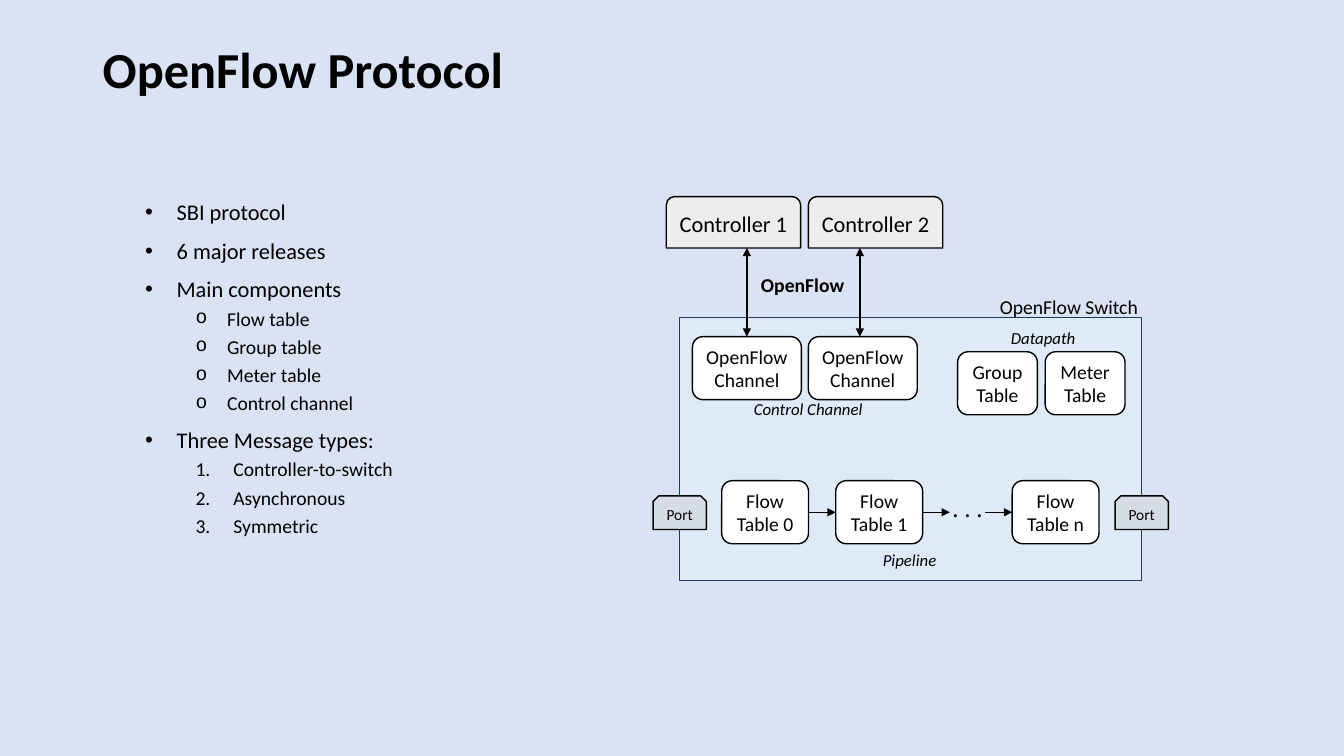
from dataclasses import dataclass

from lxml.etree import SubElement
from pptx import Presentation
from pptx.dml.color import RGBColor
from pptx.enum.shapes import MSO_CONNECTOR, MSO_SHAPE
from pptx.enum.text import MSO_ANCHOR, MSO_AUTO_SIZE, PP_ALIGN
from pptx.oxml.ns import qn
from pptx.util import Pt


@dataclass(frozen=True)
class Theme:
    font: str = "Calibri"
    background: str = "DAE3F3"
    ink: str = "000000"
    switch_fill: str = "DEEBF7"
    switch_line: str = "203864"
    table_fill: str = "FFFFFF"
    port_fill: str = "D6DCE5"
    controller_fill: str = "EDEDED"
    title: int = 36
    dots: int = 18
    large: int = 16
    medium: int = 14
    caption: int = 12
    port: int = 11


@dataclass(frozen=True)
class Box:
    left: float
    top: float
    width: float
    height: float

    @property
    def right(self):
        return self.left + self.width

    @property
    def bottom(self):
        return self.top + self.height

    @property
    def middle(self):
        return self.top + self.height / 2

    def inner(self, left, top, width, height):
        return Box(self.left + left, self.top + top, width, height)

    def points(self):
        return Pt(self.left), Pt(self.top), Pt(self.width), Pt(self.height)


THEME = Theme()
OUTLINE = [
    ("SBI protocol", "•"),
    ("6 major releases", "•"),
    ("Main components", "•"),
    ("Flow table", "o"),
    ("Group table", "o"),
    ("Meter table", "o"),
    ("Control channel", "o"),
    ("Three Message types:", "•"),
    ("Controller-to-switch", "1."),
    ("Asynchronous", "1."),
    ("Symmetric", "1."),
]
BULLETS = {
    "•": (0, THEME.large, 10, 22.5, 22.5, "Arial"),
    "o": (1, THEME.medium, 5, 58.5, 22.5, "Courier New"),
    "1.": (1, THEME.medium, 5, 63, 27, None),
}


def style(paragraph, size, bold=False, italic=False):
    font = paragraph.font
    font.name, font.size = THEME.font, Pt(size)
    font.bold, font.italic = bold, italic
    font.color.rgb = RGBColor.from_string(THEME.ink)


def place(holder, box):
    holder.left, holder.top, holder.width, holder.height = box.points()
    holder.text_frame.auto_size = MSO_AUTO_SIZE.NONE


def add_node(slide, preset, box, fill, words="", size=THEME.medium, outline=THEME.ink):
    node = slide.shapes.add_shape(preset, *box.points())
    node.shadow.inherit = False
    node.fill.solid()
    node.fill.fore_color.rgb = RGBColor.from_string(fill)
    node.line.color.rgb = RGBColor.from_string(outline)
    node.line.width = Pt(1)
    if words:
        frame = node.text_frame
        frame.text = words
        frame.vertical_anchor = MSO_ANCHOR.MIDDLE
        for paragraph in frame.paragraphs:
            paragraph.alignment = PP_ALIGN.CENTER
            style(paragraph, size)


def add_label(slide, box, words, size, bold=False, italic=False):
    frame = slide.shapes.add_textbox(*box.points()).text_frame
    frame.text = words
    frame.word_wrap = False
    frame.auto_size = MSO_AUTO_SIZE.SHAPE_TO_FIT_TEXT
    style(frame.paragraphs[0], size, bold, italic)


def add_arrow(slide, start, end, width=1, ends=("tailEnd",)):
    arrow = slide.shapes.add_connector(
        MSO_CONNECTOR.STRAIGHT, *(Pt(value) for value in (*start, *end)))
    arrow.line.color.rgb = RGBColor.from_string(THEME.ink)
    arrow.line.width = Pt(width)
    for end_name in ends:
        SubElement(arrow.line._get_or_add_ln(), qn(f"a:{end_name}"), type="triangle")
    SubElement(arrow._element.spPr, qn("a:effectLst"))


def add_title(slide, box):
    title = slide.shapes.title
    place(title, box)
    title.text_frame.text = "OpenFlow Protocol"
    title.text_frame.vertical_anchor = MSO_ANCHOR.BOTTOM
    heading = title.text_frame.paragraphs[0]
    heading.alignment = PP_ALIGN.LEFT
    heading.line_spacing = 0.9
    style(heading, THEME.title, bold=True)


def add_outline(slide, box):
    body = slide.placeholders[1]
    place(body, box)
    body.text_frame.text = "\n".join(words for words, _ in OUTLINE)
    for paragraph, (_, mark) in zip(body.text_frame.paragraphs, OUTLINE):
        level, size, before, margin, hanging, mark_font = BULLETS[mark]
        paragraph.level = level
        paragraph.line_spacing = 0.9
        paragraph.space_before = Pt(before)
        properties = paragraph._p.get_or_add_pPr()
        properties.set("marL", str(Pt(margin)))
        properties.set("indent", str(-Pt(hanging)))
        if mark_font:
            SubElement(properties, qn("a:buFont"), typeface=mark_font)
            SubElement(properties, qn("a:buChar"), char=mark)
        else:
            SubElement(properties, qn("a:buFont"), typeface="+mj-lt")
            SubElement(properties, qn("a:buAutoNum"), type="arabicPeriod")
        style(paragraph, size)


def add_controllers(slide, box):
    for index in range(2):
        add_node(slide, MSO_SHAPE.ROUND_2_SAME_RECTANGLE,
                 box.inner(101.5 * index, 0, 96, box.height),
                 THEME.controller_fill, f"Controller {index + 1}", THEME.large)


def add_links(slide, box):
    for x in (box.left, box.right):
        add_arrow(slide, (x, box.top), (x, box.bottom), 1.5, ("headEnd", "tailEnd"))
    add_label(slide, box.inner(3, 14.4, 74.2, 24.5), "OpenFlow", THEME.medium, bold=True)


def add_channels(slide, box):
    for index in range(2):
        add_node(slide, MSO_SHAPE.ROUNDED_RECTANGLE, box.inner(82.8 * index, 0, 77.8, 45),
                 THEME.table_fill, "OpenFlow\nChannel")
    add_label(slide, box.inner(36.8, 41, 93.6, 21.6), "Control Channel",
              THEME.caption, italic=True)


def add_datapath(slide, box):
    for index, kind in enumerate(("Group", "Meter")):
        add_node(slide, MSO_SHAPE.ROUNDED_RECTANGLE, box.inner(62.6 * index, 0, 57, 45),
                 THEME.table_fill, f"{kind} Table")
    add_label(slide, box.inner(31, -20.9, 60.5, 21.6), "Datapath",
              THEME.caption, italic=True)


def add_pipeline(slide, box):
    table_width, gap = 62, 19.5
    last = box.width - table_width
    for offset, number in ((0, "0"), (table_width + gap, "1"), (last, "n")):
        add_node(slide, MSO_SHAPE.ROUNDED_RECTANGLE,
                 box.inner(offset, 0, table_width, box.height),
                 THEME.table_fill, f"Flow Table {number}")
    for offset in (table_width, 2 * table_width + gap, last - gap):
        start = box.left + offset
        add_arrow(slide, (start, box.middle), (start + gap, box.middle))
    add_label(slide, box.inner(157.7, 4.4, 36.7, 28.8), ". . .", THEME.dots)
    add_label(slide, box.inner(108, 45.4, 54, 21.6), "Pipeline", THEME.caption, italic=True)


def add_switch(slide, box):
    add_node(slide, MSO_SHAPE.RECTANGLE, box, THEME.switch_fill, outline=THEME.switch_line)
    add_label(slide, box.inner(221.6, -19.4, 113.8, 24.5), "OpenFlow Switch", THEME.medium)
    add_channels(slide, box.inner(9.1, 13.7, 160.6, 45))
    add_datapath(slide, box.inner(198.5, 24.5, 119.6, 45))
    add_pipeline(slide, box.inner(30, 116.6, 269.5, 45))
    for edge in (0, box.width):
        add_node(slide, MSO_SHAPE.SNIP_2_SAME_RECTANGLE, box.inner(edge - 19, 127.4, 38, 24),
                 THEME.port_fill, "Port", THEME.port)


def add_diagram(slide, box):
    add_switch(slide, box.inner(19, 86.4, box.width - 38, box.height - 86.4))
    add_controllers(slide, box.inner(9.4, 0, 197.5, 36.7))
    add_links(slide, box.inner(67, 36.7, 80.7, 63.4))


def main():
    deck = Presentation()
    deck.slide_width, deck.slide_height = Pt(960), Pt(540)
    slide = deck.slides.add_slide(deck.slide_layouts[1])
    slide.background.fill.solid()
    slide.background.fill.fore_color.rgb = RGBColor.from_string(THEME.background)
    add_title(slide, Box(66.2, 28.8, 828, 46))
    add_outline(slide, Box(96.5, 140.4, 278.6, 321))
    add_diagram(slide, Box(466.5, 140.4, 368, 274.2))
    deck.save("out.pptx")


if __name__ == "__main__":
    main()
